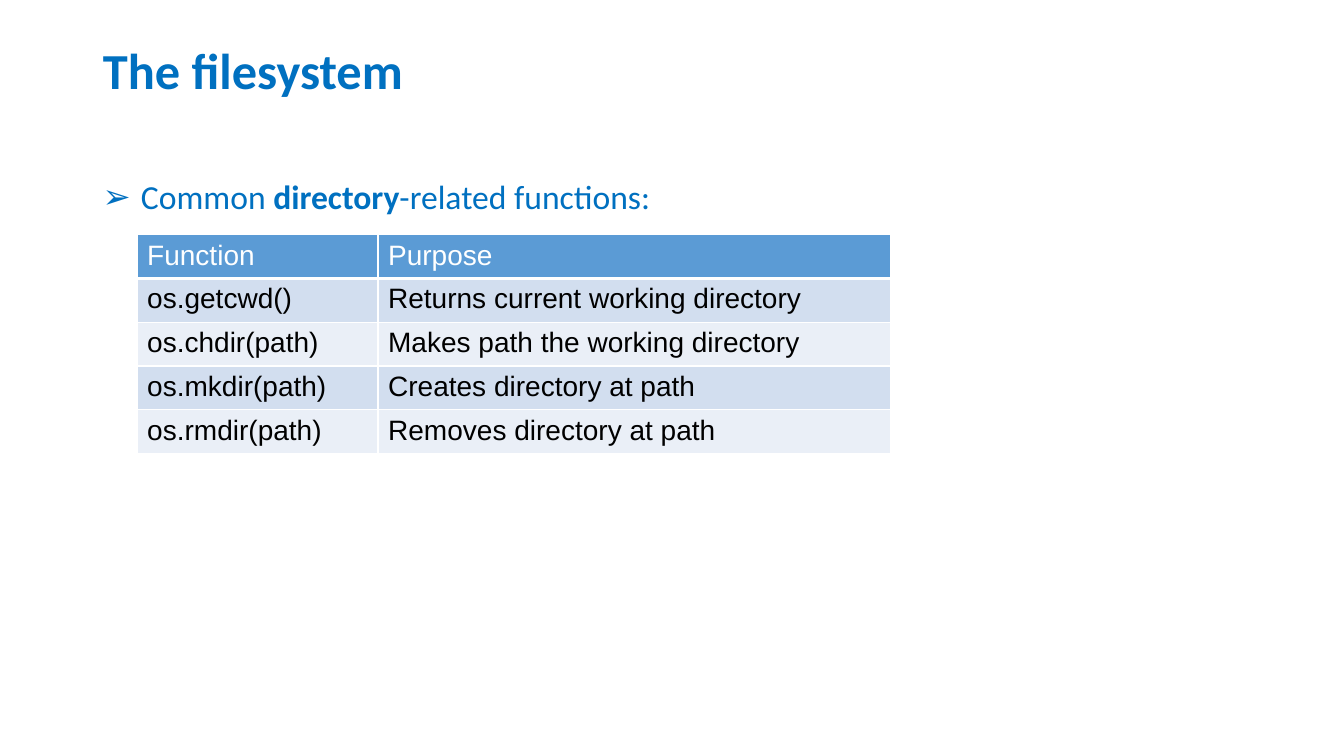
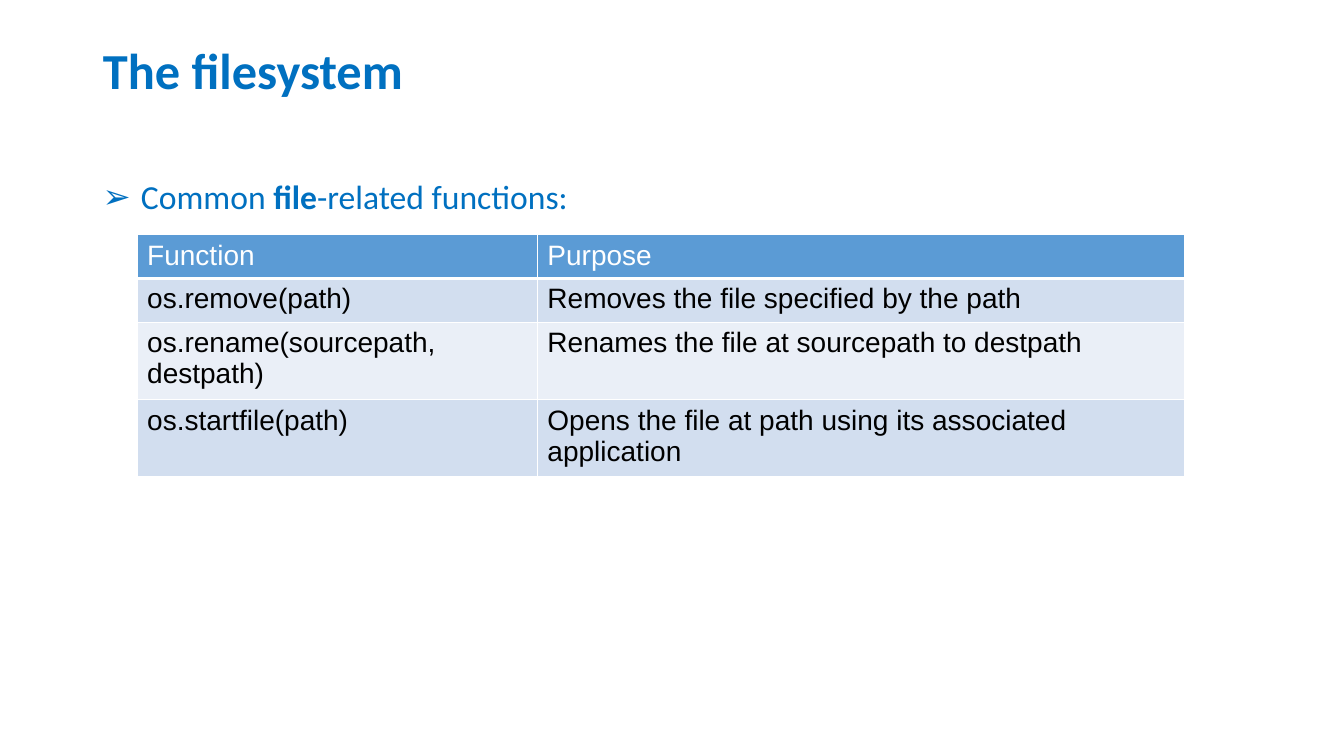
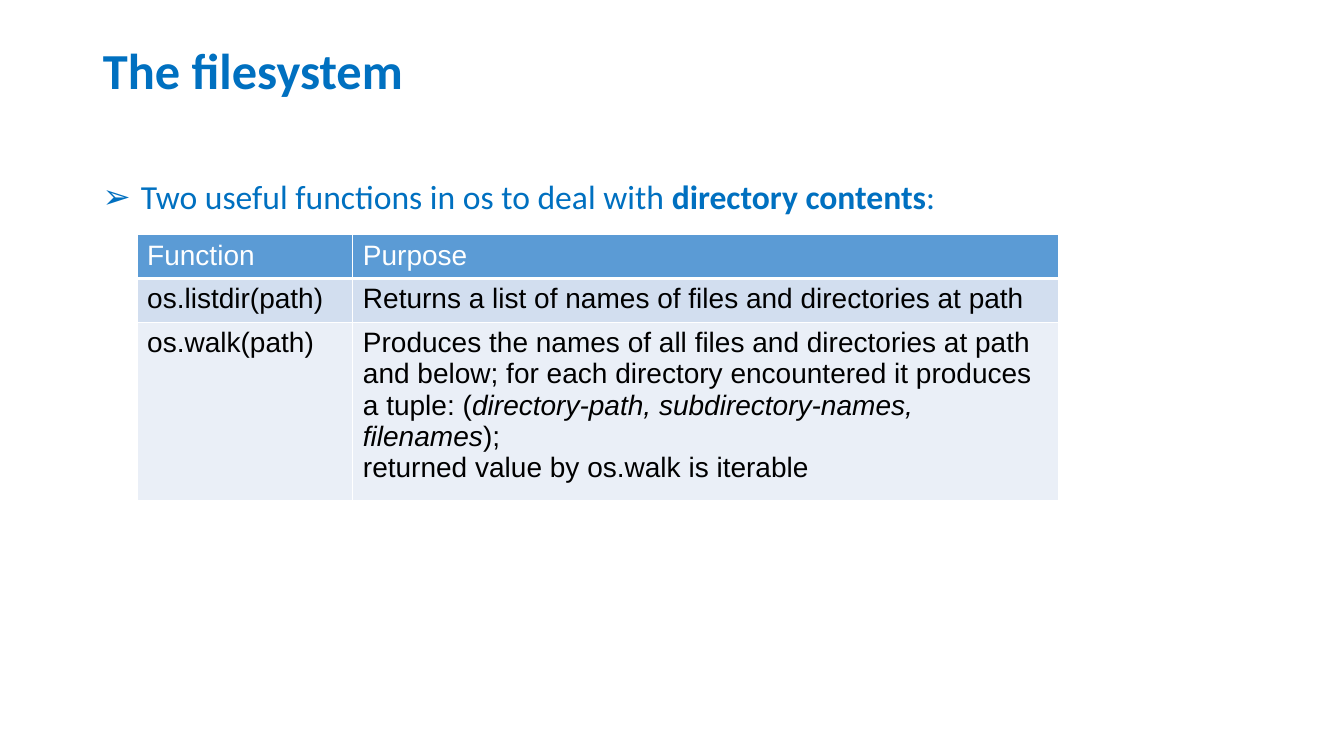
from lxml import etree
from pptx import Presentation
from pptx.dml.color import RGBColor
from pptx.enum.text import MSO_ANCHOR, MSO_AUTO_SIZE, PP_ALIGN
from pptx.oxml.ns import qn
from pptx.util import Inches, Pt

LEFT = PP_ALIGN.LEFT
MIDDLE = MSO_ANCHOR.MIDDLE
TOP = MSO_ANCHOR.TOP
NO_AUTOFIT = MSO_AUTO_SIZE.NONE

BLUE = RGBColor(0x00, 0x70, 0xC0)
WHITE = RGBColor(0xFF, 0xFF, 0xFF)
BLACK = RGBColor(0x00, 0x00, 0x00)
HEADER_FILL = RGBColor(0x5B, 0x9B, 0xD5)
BAND_FILLS = [RGBColor(0xD2, 0xDE, 0xEF), RGBColor(0xEA, 0xEF, 0xF7)]

TEXT_FONT = "Calibri"
TABLE_FONT = "Arial"
TITLE = "The filesystem"
HEADINGS = ("Function", "Purpose")
MARGIN = Inches(0.92)
CONTENT_WIDTH = Inches(11.5)
TABLE_LEFT, TABLE_TOP = Inches(1.36), Inches(2.33)
ROW_HEIGHT = Inches(0.41)
TITLE_ONLY = 5

# Each paragraph is a list of segments; every second segment is emphasised.
SLIDES = [
    (["Common ", "directory", "-related functions:"], (2.39, 5.08), [
        ("os.getcwd()", "Returns current working directory"),
        ("os.chdir(path)", "Makes path the working directory"),
        ("os.mkdir(path)", "Creates directory at path"),
        ("os.rmdir(path)", "Removes directory at path"),
    ]),
    (["Common ", "file", "-related functions:"], (3.97, 6.42), [
        ("os.remove(path)", "Removes the file specified by the path"),
        ("os.rename(sourcepath, destpath)",
         "Renames the file at sourcepath to destpath"),
        ("os.startfile(path)",
         "Opens the file at path using its associated application"),
    ]),
    (["Two useful functions in os to deal with ", "directory contents", ":"],
     (2.14, 7), [
        ("os.listdir(path)",
         "Returns a list of names of files and directories at path"),
        ("os.walk(path)", [
            ["Produces the names of all files and directories at path and "
             "below; for each directory encountered it produces a tuple: (",
             "directory-path, subdirectory-names, filenames", ");"],
            ["returned value by os.walk is iterable"],
        ]),
    ]),
]


def style_run(run, font_name, size, color, bold=False, italic=False):
    font = run.font
    font.name, font.size = font_name, Pt(size)
    font.color.rgb = color
    font.bold, font.italic = bold, italic


def add_segments(paragraph, segments, font_name, size, color, emphasis):
    for index, segment in enumerate(segments):
        run = paragraph.add_run()
        run.text = segment
        style_run(run, font_name, size, color, **{emphasis: index % 2 == 1})


def set_title(slide):
    title = slide.shapes.title
    title.left, title.top = MARGIN, 0
    title.width, title.height = CONTENT_WIDTH, Inches(1.45)
    frame = title.text_frame
    frame.text = TITLE
    frame.auto_size = NO_AUTOFIT
    frame.vertical_anchor = MIDDLE
    heading = frame.paragraphs[0]
    heading.alignment, heading.line_spacing = LEFT, 0.9
    style_run(heading.runs[0], TEXT_FONT, 36, BLUE, bold=True)


def add_bullet(slide, segments):
    body = slide.shapes.add_textbox(MARGIN, Inches(1.5), CONTENT_WIDTH, Inches(4.76))
    frame = body.text_frame
    frame.word_wrap = True
    frame.vertical_anchor = TOP
    bullet = frame.paragraphs[0]
    bullet.line_spacing, bullet.space_before = 1.5, Pt(4.8)
    add_segments(bullet, segments, TEXT_FONT, 24, BLUE, "bold")
    properties = bullet._p.get_or_add_pPr()
    properties.set("marL", str(Inches(0.38)))
    properties.set("indent", str(-Inches(0.38)))
    etree.SubElement(properties, qn("a:buFont"), typeface=TABLE_FONT)
    etree.SubElement(properties, qn("a:buChar"), char="➢")


def set_borders(cell, bottom):
    properties = cell._tc.get_or_add_tcPr()
    for side, width in (("L", 1), ("R", 1), ("T", 1), ("B", bottom)):
        line = etree.SubElement(properties, qn(f"a:ln{side}"), w=str(Pt(width)))
        fill = etree.SubElement(line, qn("a:solidFill"))
        etree.SubElement(fill, qn("a:srgbClr"), val=str(WHITE))


def fill_cell(cell, content, fill, color, bottom):
    set_borders(cell, bottom)
    cell.fill.solid()
    cell.fill.fore_color.rgb = fill
    paragraphs = [[content]] if isinstance(content, str) else content
    frame = cell.text_frame
    for index, segments in enumerate(paragraphs):
        paragraph = frame.add_paragraph() if index else frame.paragraphs[0]
        add_segments(paragraph, segments, TABLE_FONT, 20, color, "italic")


def add_function_table(slide, widths, functions):
    rows = [HEADINGS, *functions]
    table = slide.shapes.add_table(
        len(rows), len(widths), TABLE_LEFT, TABLE_TOP,
        Inches(sum(widths)), ROW_HEIGHT * len(rows)).table
    table.horz_banding = False
    for column, width in zip(table.columns, widths):
        column.width = Inches(width)
    for row_index, row in enumerate(rows):
        if row_index == 0:
            look = (HEADER_FILL, WHITE, 3)
        else:
            look = (BAND_FILLS[(row_index - 1) % 2], BLACK, 1)
        for column_index, content in enumerate(row):
            fill_cell(table.cell(row_index, column_index), content, *look)


def main():
    presentation = Presentation()
    presentation.slide_width = Inches(13.33)
    presentation.slide_height = Inches(7.5)
    for bullet, widths, functions in SLIDES:
        slide = presentation.slides.add_slide(presentation.slide_layouts[TITLE_ONLY])
        set_title(slide)
        add_bullet(slide, bullet)
        add_function_table(slide, widths, functions)
    presentation.save("out.pptx")


if __name__ == "__main__":
    main()
